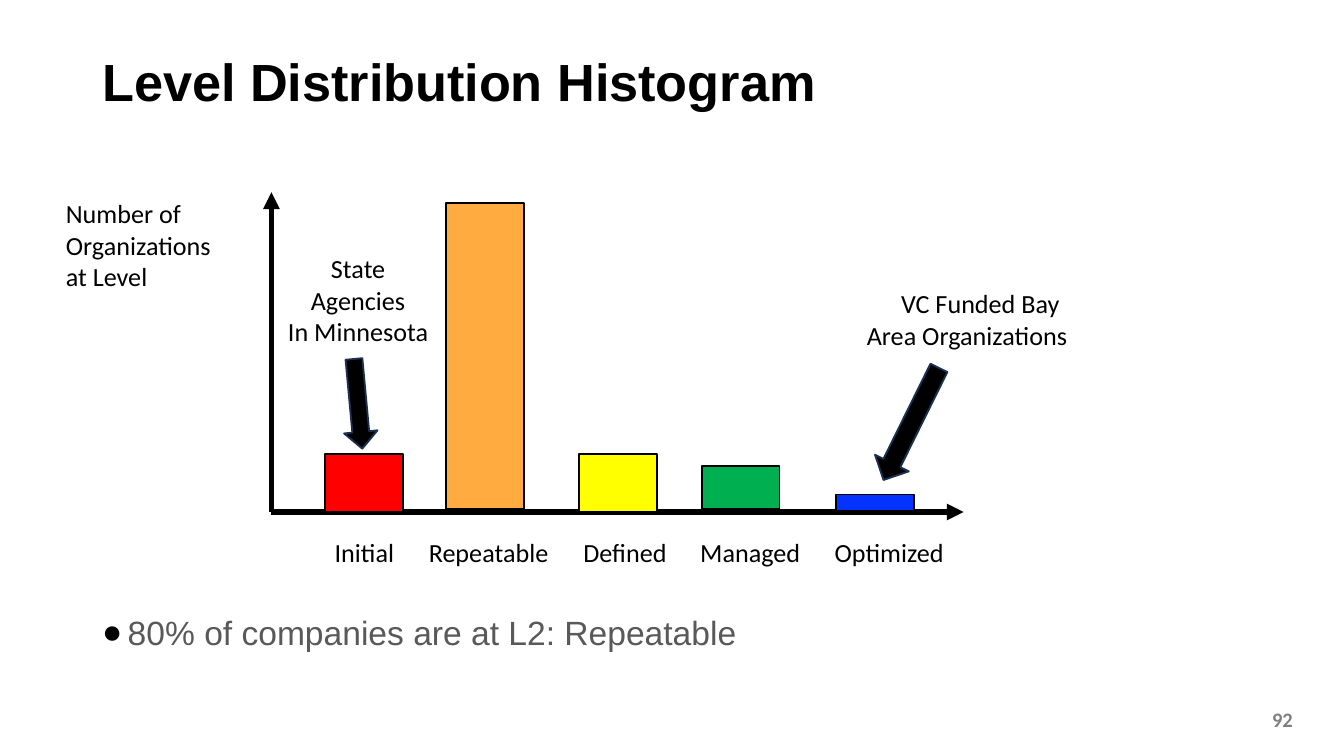
from pptx import Presentation
from pptx.dml.color import RGBColor
from pptx.enum.shapes import MSO_CONNECTOR, MSO_SHAPE
from pptx.enum.text import MSO_ANCHOR, PP_ALIGN
from pptx.oxml.ns import qn
from pptx.util import Pt
from lxml.etree import SubElement

SCALE = 9144
COLORS = {
    "black": "000000", "gray": "595959", "light": "7F7F7F", "edge": "1C3052",
    "red": "FF0000", "orange": "FFAB40", "yellow": "FFFF00",
    "green": "00B050", "blue": "0432FF",
}
LEFT, CENTER, RIGHT = PP_ALIGN.LEFT, PP_ALIGN.CENTER, PP_ALIGN.RIGHT


def px(*values):
    return [round(value * SCALE) for value in values]


def color(name):
    return RGBColor.from_string(COLORS[name])


def write(shape, *lines, size=14, face="Calibri", tint="black", bold=False,
          aligns=(LEFT,), anchor=MSO_ANCHOR.TOP, wrap=True, lead=1.0,
          after=0, bullet=None):
    frame = shape.text_frame
    frame.word_wrap = wrap
    frame.vertical_anchor = anchor
    frame.margin_left, frame.margin_right = px(7, 7)
    frame.margin_top, frame.margin_bottom = px(4, 4)
    for i, line in enumerate(lines):
        para = frame.add_paragraph() if i else frame.paragraphs[0]
        para.text = line
        para.alignment = aligns[i % len(aligns)]
        para.line_spacing = lead
        para.space_before, para.space_after = Pt(0), Pt(after)
        if bullet:
            props = para._p.get_or_add_pPr()
            indent = px(19)[0]
            props.set("marL", str(indent))
            props.set("indent", str(-indent))
            ink = SubElement(props, qn("a:buClr"))
            SubElement(ink, qn("a:srgbClr"), val=COLORS["black"])
            SubElement(props, qn("a:buFont"), typeface=face)
            SubElement(props, qn("a:buChar"), char=bullet)
        font = para.runs[0].font
        font.name, font.size, font.bold = face, Pt(size), bold
        font.color.rgb = color(tint)


def text(slide, box, *lines, **style):
    write(slide.shapes.add_textbox(*px(*box)), *lines, **style)


def block(slide, kind, box, fill, edge="black", turn=0):
    shape = slide.shapes.add_shape(kind, *px(*box))
    shape.shadow.inherit = False
    shape.fill.solid()
    shape.fill.fore_color.rgb = color(fill)
    shape.line.color.rgb = color(edge)
    shape.line.width = Pt(1)
    shape.rotation = turn


def axis(slide, start, end):
    line = slide.shapes.add_connector(
        MSO_CONNECTOR.STRAIGHT, *px(*start), *px(*end))
    line.line.color.rgb = color("black")
    line.line.width = Pt(3)
    SubElement(line.line._get_or_add_ln(), qn("a:tailEnd"), type="triangle")
    SubElement(line._element.spPr, qn("a:effectLst"))


def header(slide, box):
    title = slide.shapes.title
    title.left, title.top, title.width, title.height = px(*box)
    write(title, "Level Distribution Histogram", size=28, face="Arial",
          bold=True, anchor=MSO_ANCHOR.MIDDLE, lead=0.9)


def chart(slide, box):
    left, top, width, height = box
    base = top + height
    axis(slide, (left, base), (left, top))
    axis(slide, (left, base), (left + width, base))
    text(slide, (left - 160, top, 147, 78),
         "Number of", "Organizations", "at Level")
    levels = [
        ("Initial", "red", 40, 43, 0, 40, 60),
        ("Repeatable", "orange", 130, 228, 2, 110, 105),
        ("Defined", "yellow", 229, 43, 0, 225, 78),
        ("Managed", "green", 320, 32, 2, 312, 90),
        ("Optimized", "blue", 420, 12, 1, 412, 97),
    ]
    for name, fill, x, tall, lift, start, wide in levels:
        text(slide, (left + start, base + 14, wide, 31), name, wrap=False)
        block(slide, MSO_SHAPE.RECTANGLE,
              (left + x, base - lift - tall, 58, tall), fill)
    text(slide, (left + 1, top + 41, 127, 78),
         "State Agencies", "In Minnesota", aligns=(CENTER,))
    text(slide, (left + 436, top + 67, 183, 55),
         "VC Funded Bay", "Area Organizations", aligns=(CENTER, LEFT))
    for x, y, wide, tall, turn in [(52, 124, 25, 67, -5.3),
                                   (462, 126, 28, 93, 26.3)]:
        block(slide, MSO_SHAPE.DOWN_ARROW, (left + x, top + y, wide, tall),
              "black", edge="edge", turn=turn)


def footer(slide, box):
    left, top, width, height = box
    text(slide, (left, top, width - 38, 49),
         "80% of companies are at L2: Repeatable", size=18, face="Arial",
         tint="gray", lead=0.8, after=12, bullet="●")
    text(slide, (left + width - 225, top + height - 30, 225, 30), "92",
         size=11, tint="light", bold=True, aligns=(RIGHT,),
         anchor=MSO_ANCHOR.MIDDLE)


def main():
    deck = Presentation()
    deck.slide_width, deck.slide_height = px(1000, 1000 * 9 / 16)
    slide = deck.slides.add_slide(deck.slide_layouts[5])
    header(slide, (69, 18, 862, 90))
    chart(slide, (202, 143, 515, 238))
    footer(slide, (69, 457, 900, 93))
    deck.save("out.pptx")


if __name__ == "__main__":
    main()
